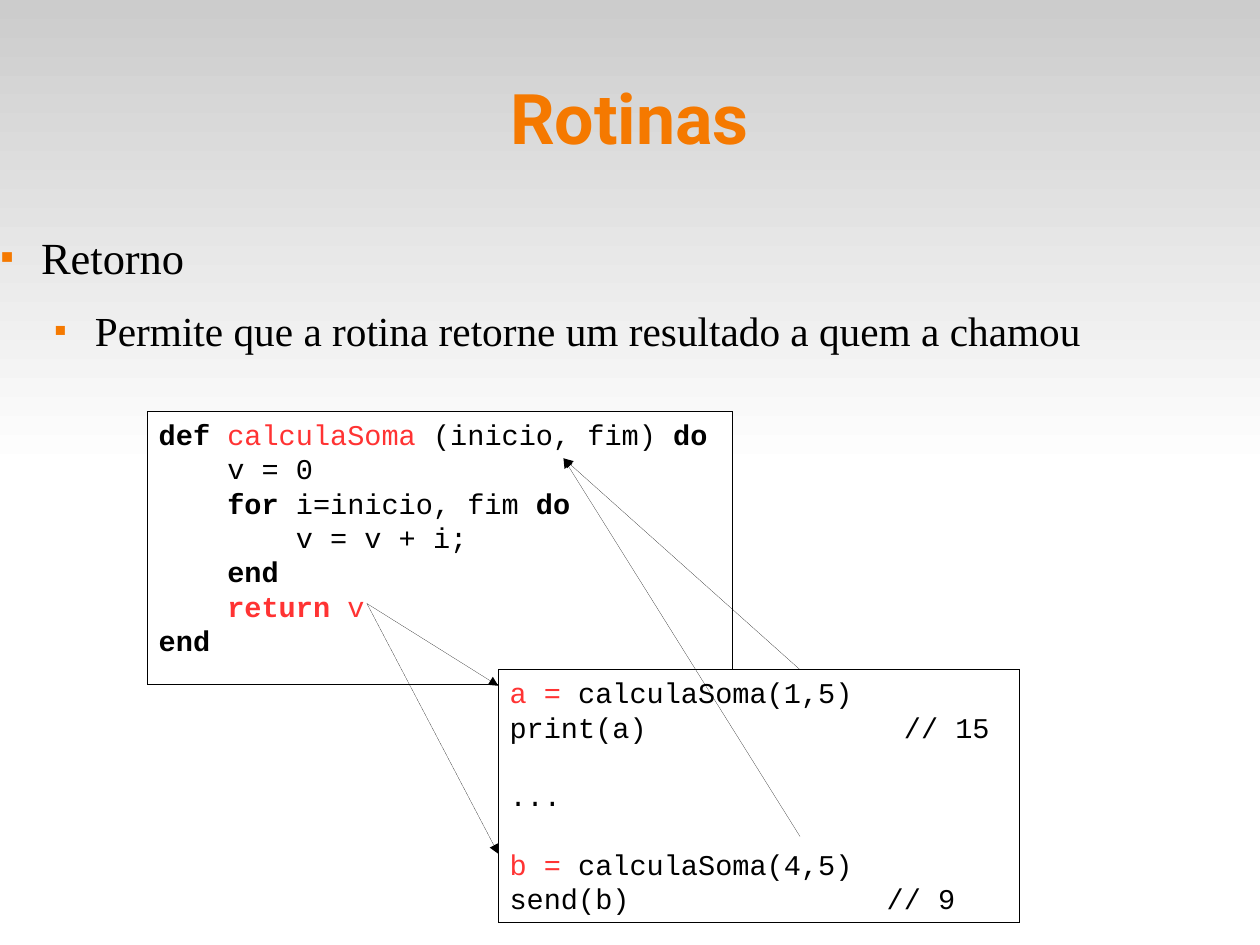
"""Build the slide on routines and their return values."""
from lxml import etree
from pptx import Presentation
from pptx.dml.color import RGBColor
from pptx.enum.shapes import MSO_CONNECTOR, MSO_SHAPE
from pptx.enum.text import MSO_ANCHOR, PP_ALIGN
from pptx.oxml.ns import qn
from pptx.util import Cm, Inches, Pt

RECTANGLE = MSO_SHAPE.RECTANGLE
STRAIGHT = MSO_CONNECTOR.STRAIGHT
TOP, MIDDLE = MSO_ANCHOR.TOP, MSO_ANCHOR.MIDDLE
LEFT, CENTER = PP_ALIGN.LEFT, PP_ALIGN.CENTER

THEME = {
    "accent": "F57900", "ink": "000000", "paper": "FFFFFF",
    "shade": "CCCCCC", "highlight": "FF3333",
    "title_font": "Roboto", "body_font": "Times New Roman", "code_font": "Courier New",
    "title_size": 44, "topic_size": 28, "detail_size": 26, "code_size": 18,
    "code_line": 21.6, "code_char": 0.15, "hairline": 0.01,
}
SLIDE_WIDTH, SLIDE_HEIGHT = Cm(28), Cm(21)
TITLE, TITLE_BOX = "Rotinas", (0.55, 0.33, 9.92, 1.38)
BULLETS_BOX = (-0.11, 2.01, 10.61, 5.46)
BULLETS = [
    ("Retorno", THEME["topic_size"], 14.2),
    ("Permite que a rotina retorne um resultado a quem a chamou", THEME["detail_size"], 11.3),
]
BULLET_STEP, BULLET_HANG = 0.47, 0.35

PLAIN, BOLD, RED, RED_BOLD = (
    {"color": color, "bold": bold}
    for color in ("ink", "highlight") for bold in (False, True)
)
ROUTINE_BOX = (1.29, 3.6, 5.12, 2.39)
ROUTINE = [
    {"runs": runs} for runs in (
        [("def ", BOLD), ("calculaSoma", RED), (" (inicio, fim) ", PLAIN), ("do", BOLD)],
        [("    v = 0", PLAIN)],
        [("    for", BOLD), (" i=inicio, fim ", PLAIN), ("do", BOLD)],
        [("        v = v + i;", PLAIN)],
        [("    end", BOLD)],
        [("    return", RED_BOLD), (" v", RED)],
        [("end", BOLD)],
    )
]
CALLS_BOX = (4.36, 5.86, 4.56, 2.21)
CALLS = [
    {"runs": [("a =", RED), (" calculaSoma(1,5)", PLAIN)]},
    {"runs": [("print(a)\t// 15", PLAIN)], "tab": 23 * THEME["code_char"]},
    {"runs": [("...", PLAIN)], "before": THEME["code_line"]},
    {"runs": [("b =", RED), (" calculaSoma(4,5)", PLAIN)], "before": THEME["code_line"]},
    {"runs": [("send(b)\t// 9", PLAIN)], "tab": 22 * THEME["code_char"]},
]
RETURNED_VALUE, PARAMETERS = (3.21, 5.28), (4.93, 4.01)
ARROWS = [
    (RETURNED_VALUE, (4.36, 6)),
    (RETURNED_VALUE, (4.36, 7.47)),
    ((7, 5.86), PARAMETERS),
    ((7, 7.32), PARAMETERS),
]


def rgb(name):
    """Return a theme colour."""
    return RGBColor.from_string(THEME[name])


def child(parent, tag, **attributes):
    """Append a drawing element with its attributes."""
    element = etree.SubElement(parent, qn(tag))
    for key, value in attributes.items():
        element.set(key, str(value))
    return element


def add_bullet(paragraph, level):
    """Hang an accent square before the paragraph."""
    properties = paragraph._p.get_or_add_pPr()
    properties.set("marL", str(Inches(BULLET_STEP * (level + 1))))
    properties.set("indent", str(-Inches(BULLET_HANG)))
    child(child(properties, "a:buClr"), "a:srgbClr", val=THEME["accent"])
    child(properties, "a:buSzPct", val=45000)
    child(properties, "a:buFont", typeface=THEME["body_font"])
    child(properties, "a:buChar", char="■")


def write(frame, paragraphs, *, font, size=None, align=LEFT, anchor=TOP, inset=(0, 0)):
    """Fill a text frame with formatted paragraphs."""
    frame.word_wrap = True
    frame.vertical_anchor = anchor
    frame.margin_left = frame.margin_right = Inches(inset[0])
    frame.margin_top = frame.margin_bottom = Inches(inset[1])
    for index, content in enumerate(paragraphs):
        paragraph = frame.add_paragraph() if index else frame.paragraphs[0]
        paragraph.alignment = align
        paragraph.space_before = Pt(content.get("before", 0))
        paragraph.space_after = Pt(content.get("after", 0))
        if "level" in content:
            add_bullet(paragraph, content["level"])
        if "tab" in content:
            tabs = child(paragraph._p.get_or_add_pPr(), "a:tabLst")
            child(tabs, "a:tab", pos=Inches(content["tab"]), algn="l")
        for text, style in content["runs"]:
            run = paragraph.add_run()
            run.text = text
            run.font.name = font
            run.font.size = Pt(content.get("size", size))
            run.font.bold = style["bold"]
            run.font.color.rgb = rgb(style["color"])


def add_rectangle(slide, box):
    """Add a rectangle without shadow."""
    rectangle = slide.shapes.add_shape(RECTANGLE, *map(Inches, box))
    rectangle.shadow.inherit = False
    return rectangle


def draw_hairline(line):
    """Give a line the thinnest dark stroke."""
    line.color.rgb = rgb("ink")
    line.width = Pt(THEME["hairline"])


def add_backdrop(slide):
    """Shade the upper half of the slide."""
    backdrop = add_rectangle(slide, (0, 0, SLIDE_WIDTH.inches, SLIDE_HEIGHT.inches / 2))
    backdrop.line.fill.background()
    backdrop.fill.gradient()
    backdrop.fill.gradient_angle = 270
    for stop, color in zip(backdrop.fill.gradient_stops, ("shade", "paper")):
        stop.color.rgb = rgb(color)


def add_code(slide, box, lines):
    """Add a framed code listing."""
    listing = add_rectangle(slide, box)
    listing.fill.solid()
    listing.fill.fore_color.rgb = rgb("paper")
    draw_hairline(listing.line)
    write(listing.text_frame, lines, font=THEME["code_font"],
          size=THEME["code_size"], inset=(0.1, 0.05))


def add_arrow(slide, start, end):
    """Add a hairline arrow."""
    arrow = slide.shapes.add_connector(STRAIGHT, *map(Inches, start + end))
    draw_hairline(arrow.line)
    child(arrow.line._get_or_add_ln(), "a:tailEnd", type="triangle")
    child(arrow._element.spPr, "a:effectLst")


def main():
    """Assemble and save the slide."""
    deck = Presentation()
    deck.slide_width = SLIDE_WIDTH
    deck.slide_height = SLIDE_HEIGHT
    slide = deck.slides.add_slide(deck.slide_layouts[6])
    add_backdrop(slide)
    heading = slide.shapes.add_textbox(*map(Inches, TITLE_BOX))
    write(heading.text_frame, [{"runs": [(TITLE, {"color": "accent", "bold": True})]}],
          font=THEME["title_font"], size=THEME["title_size"], align=CENTER, anchor=MIDDLE)
    bullets = slide.shapes.add_textbox(*map(Inches, BULLETS_BOX))
    write(bullets.text_frame, [
        {"runs": [(text, PLAIN)], "size": size, "after": after, "level": level}
        for level, (text, size, after) in enumerate(BULLETS)
    ], font=THEME["body_font"])
    add_code(slide, ROUTINE_BOX, ROUTINE)
    add_code(slide, CALLS_BOX, CALLS)
    for start, end in ARROWS:
        add_arrow(slide, start, end)
    deck.save("out.pptx")


if __name__ == "__main__":
    main()
